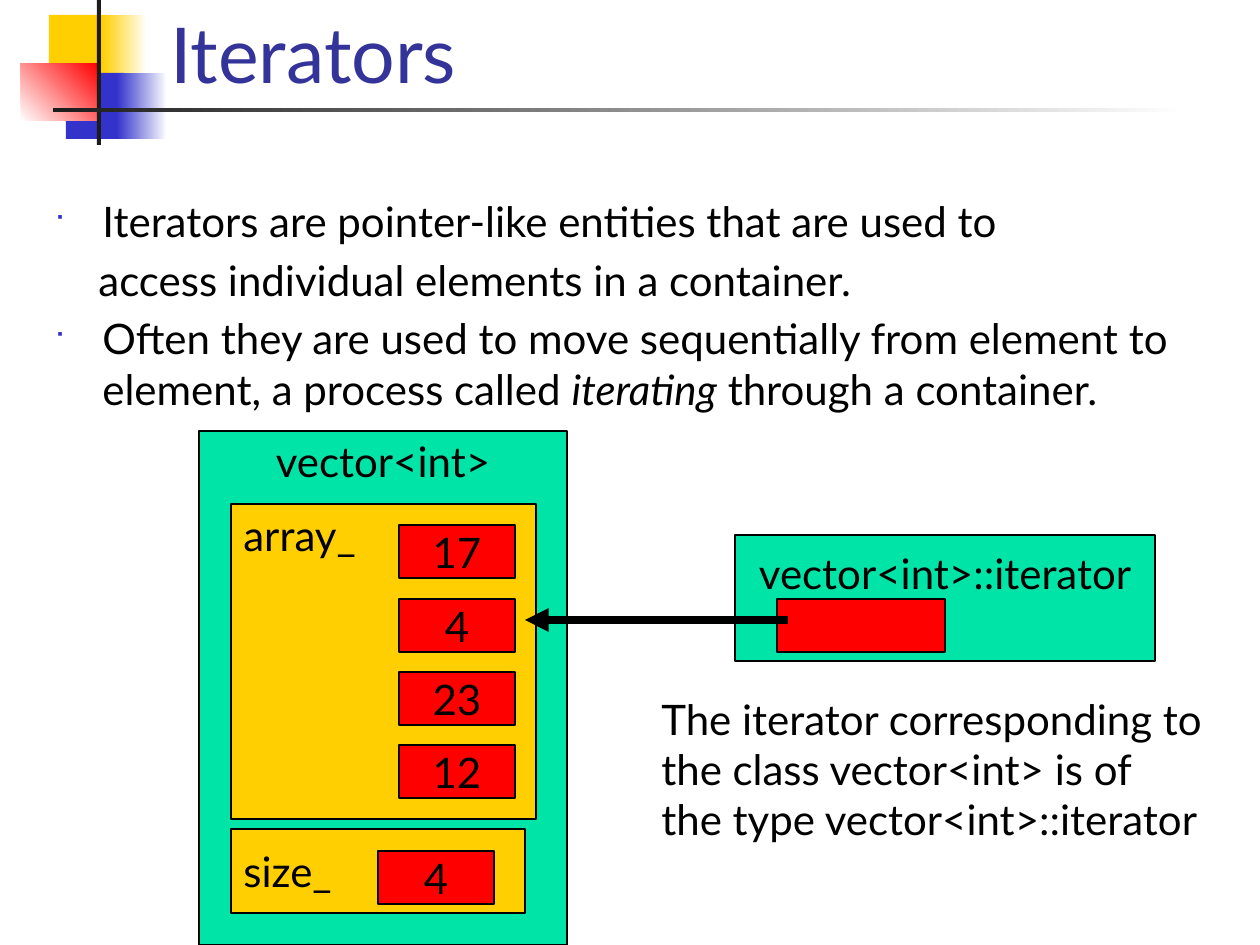
from lxml import etree
from pptx import Presentation
from pptx.dml.color import RGBColor
from pptx.enum.shapes import MSO_CONNECTOR, MSO_SHAPE
from pptx.enum.text import MSO_ANCHOR, PP_ALIGN
from pptx.oxml.ns import qn
from pptx.util import Pt

RECT = MSO_SHAPE.RECTANGLE
LINE = MSO_CONNECTOR.STRAIGHT
TOP, MID, LOW = MSO_ANCHOR.TOP, MSO_ANCHOR.MIDDLE, MSO_ANCHOR.BOTTOM
LEFT, MIDDLE = PP_ALIGN.LEFT, PP_ALIGN.CENTER

FONT = "Lato"
BLACK, WHITE, GREY = "000000", "FFFFFF", "1C1C1C"
GOLD, BLUE, RED, GREEN = "FFCF01", "3333CC", "FF0000", "00E4A8"
NAVY = "333399"


def px(n):
    return round(n * 914400 / 126)


def rgb(code):
    return RGBColor.from_string(code)


def style(para, size=24, color=BLACK):
    for run in para.runs:
        run.font.size = Pt(size)
        run.font.name = FONT
        run.font.color.rgb = rgb(color)


def add_rect(slide, box, fill):
    shape = slide.shapes.add_shape(RECT, *map(px, box))
    shape.shadow.inherit = False
    shape.fill.solid()
    shape.fill.fore_color.rgb = rgb(fill)
    shape.line.fill.background()
    return shape


def add_fade(slide, box, first, last, angle=0):
    fill = add_rect(slide, box, first).fill
    fill.gradient()
    fill.gradient_angle = angle
    for stop, color, pos in zip(fill.gradient_stops, (first, last), (0, 1)):
        stop.color.rgb = rgb(color)
        stop.position = pos


def add_block(slide, box, fill, text="", align=MIDDLE, anchor=MID, inset=6):
    shape = add_rect(slide, box, fill)
    shape.line.color.rgb = rgb(BLACK)
    shape.line.width = Pt(0.75)
    if text:
        frame = shape.text_frame
        frame.text = text
        frame.word_wrap = True
        frame.vertical_anchor = anchor
        frame.margin_top = px(inset)
        para = frame.paragraphs[0]
        para.alignment = align
        style(para)


def add_text(slide, box, lines, size=24, color=BLACK, anchor=TOP):
    frame = slide.shapes.add_textbox(*map(px, box)).text_frame
    frame.word_wrap = True
    frame.vertical_anchor = anchor
    frame.text = "\n".join(lines)
    for para in frame.paragraphs:
        style(para, size, color)
    return frame


def indent(para, left, bullet):
    props = para._p.get_or_add_pPr()
    props.set("marL", str(px(left)))
    props.set("indent", str(-px(left) if bullet else 0))
    if bullet:
        color = etree.SubElement(props, qn("a:buClr"))
        etree.SubElement(color, qn("a:srgbClr"), val=BLUE)
        etree.SubElement(props, qn("a:buSzPct"), val="60000")
        etree.SubElement(props, qn("a:buFont"), typeface="Wingdings")
        etree.SubElement(props, qn("a:buChar"), char="■")
    else:
        etree.SubElement(props, qn("a:buNone"))


def add_body(slide):
    items = [
        (["Iterators are pointer-like entities that are used to"], 48, True),
        (["access individual elements in a container."], 44, False),
        (["Often they are used to move sequentially from element to "
          "element, a process called ", "iterating",
          " through a container."], 48, True),
    ]
    frame = add_text(slide, (42, 189, 1192, 236), [])
    for i, (parts, left, bullet) in enumerate(items):
        para = frame.add_paragraph() if i else frame.paragraphs[0]
        indent(para, left, bullet)
        if i:
            para.space_before = Pt(4.8)
        for part in parts:
            run = para.add_run()
            run.text = part
            run.font.italic = part == "iterating"
        style(para)


def add_arrow(slide, start, end):
    line = slide.shapes.add_connector(LINE, *map(px, start + end))
    line.line.color.rgb = rgb(BLACK)
    line.line.width = Pt(4.5)
    etree.SubElement(line.line._get_or_add_ln(), qn("a:tailEnd"),
                     type="triangle")
    etree.SubElement(line._element.spPr, qn("a:effectLst"))


def add_decor(slide):
    add_rect(slide, (49, 15, 60, 66), GOLD)
    add_fade(slide, (102, 15, 45, 66), GOLD, WHITE)
    add_rect(slide, (66, 73, 58, 66), BLUE)
    add_fade(slide, (117, 73, 50, 66), BLUE, WHITE)
    add_fade(slide, (21, 63, 77, 58), WHITE, RED, 45)
    add_rect(slide, (97, 0, 4, 145), GREY)
    add_fade(slide, (53, 108, 1134, 4), GREY, WHITE)


def add_vector(slide):
    add_block(slide, (199, 431, 368, 514), GREEN, "vector<int>",
              anchor=TOP, inset=5)
    add_block(slide, (231, 504, 305, 315), GOLD, "array_", LEFT, TOP)
    for i, value in enumerate(("17", "4", "23", "12")):
        add_block(slide, (399, 525 + round(73.5 * i), 116, 53), RED, value)
    add_block(slide, (231, 829, 294, 84), GOLD, "size_", LEFT)
    add_block(slide, (378, 851, 116, 53), RED, "4")


def add_iter(slide):
    add_block(slide, (735, 535, 420, 126), GREEN, "vector<int>::iterator",
              anchor=TOP, inset=13)
    add_block(slide, (777, 599, 168, 53), RED)
    add_arrow(slide, (788, 620), (525, 620))
    add_text(slide, (649, 687, 592, 164), [
        "The iterator corresponding to",
        "the class vector<int> is of",
        "the type vector<int>::iterator",
    ])


def main():
    deck = Presentation()
    deck.slide_width, deck.slide_height = px(1260), px(945)
    slide = deck.slides.add_slide(deck.slide_layouts[6])
    # Corner squares and rules
    add_decor(slide)
    # Title and bullets
    add_text(slide, (158, 0, 1074, 105), ["Iterators"], 44, NAVY, LOW)
    add_body(slide)
    # Container and its iterator
    add_vector(slide)
    add_iter(slide)
    deck.save("out.pptx")


if __name__ == "__main__":
    main()
